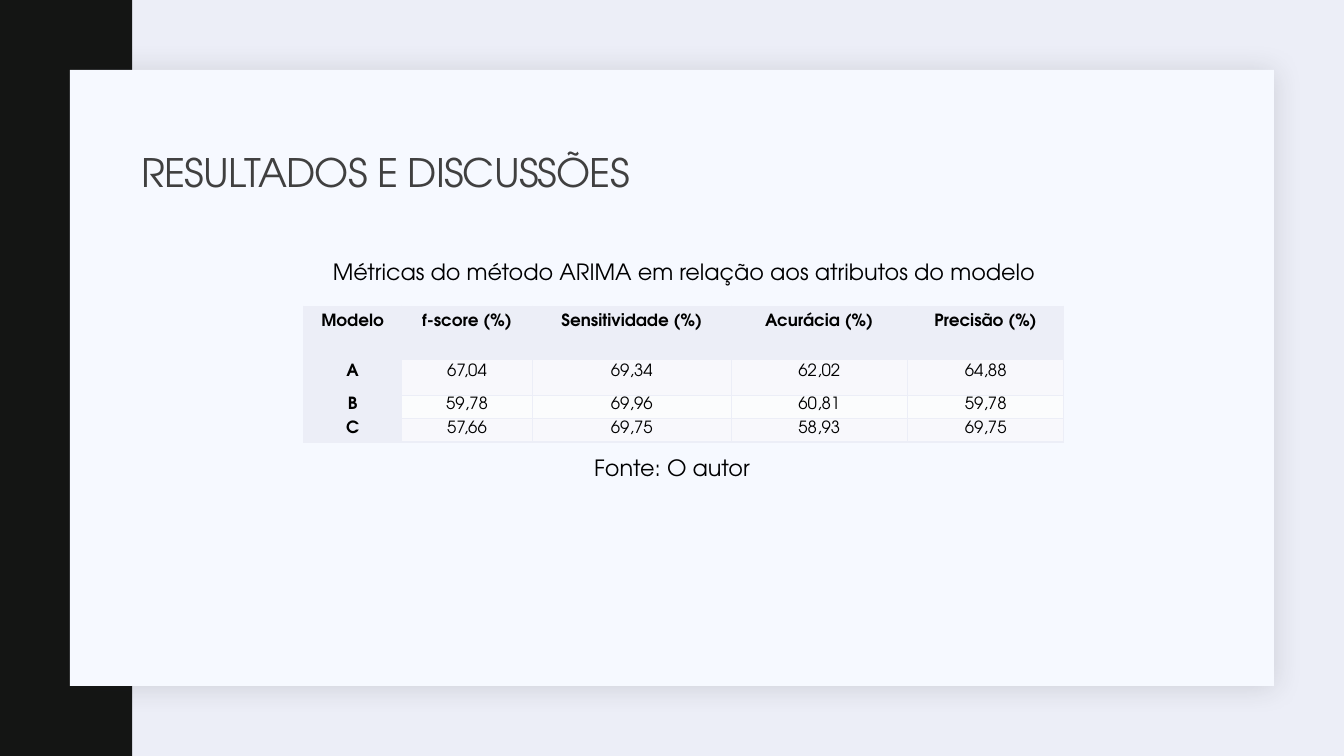
from lxml.etree import SubElement
from pptx import Presentation
from pptx.dml.color import RGBColor
from pptx.enum.shapes import MSO_SHAPE as Preset
from pptx.enum.text import MSO_ANCHOR as Anchor, MSO_AUTO_SIZE as AutoSize, PP_ALIGN as Align
from pptx.oxml.ns import qn
from pptx.util import Inches, Pt

SLIDE_WIDTH, SLIDE_HEIGHT = Inches(13.33), Inches(7.5)
FONT = "TeX Gyre Adventor"
COLORS = {
    "background": "ECEEF7",
    "bar": "141514",
    "card": "F6F9FF",
    "shadow": "1F2125",
    "title": "404040",
    "text": "000000",
    "odd_row": "F8F8FC",
    "even_row": "FBFCFD",
}
HEADERS = ["Modelo", "f-score (%)", "Sensitividade (%)", "Acurácia (%)", "Precisão (%)"]
RESULTS = [
    ["A", "67,04", "69,34", "62,02", "64,88"],
    ["B", "59,78", "69,96", "60,81", "59,78"],
    ["C", "57,66", "69,75", "58,93", "69,75"],
]
COLUMN_WEIGHTS = [0.97, 1.3, 1.97, 1.75, 1.55]
ROW_SHARES = [7, 4.75, 3.1, 3.1]
ROW_SPACINGS = [1.5, 1.07, 1.15, 1.15]
ROW_TOP_MARGINS = [0, 0.04, 0, 0]


def color(name):
    return RGBColor.from_string(COLORS[name])


def across(share):
    return int(SLIDE_WIDTH * share / 100)


def down(share):
    return int(SLIDE_HEIGHT * share / 100)


def box(left, top, width, height):
    """Turn percentages of the slide into lengths."""
    return across(left), down(top), across(width), down(height)


def set_all(target, values):
    for name, value in values.items():
        setattr(target, name, value)


def paint(target, color_name):
    target.fill.solid()
    target.fill.fore_color.rgb = color(color_name)


def write(text_frame, text, size, color_name="text", bold=False, **paragraph_format):
    paragraph = text_frame.paragraphs[0]
    set_all(paragraph, paragraph_format)
    run = paragraph.add_run()
    run.text = text
    set_all(run.font, {"name": FONT, "size": Pt(size), "bold": bold})
    run.font.color.rgb = color(color_name)
    return run


def add_panel(slide, area, color_name):
    panel = slide.shapes.add_shape(Preset.RECTANGLE, *box(*area))
    panel.shadow.inherit = False
    paint(panel, color_name)
    panel.line.fill.background()
    return panel


def add_soft_shadow(shape):
    effects = shape._element.spPr.find(qn("a:effectLst"))
    shadow = SubElement(effects, qn("a:outerShdw"), blurRad=str(Pt(20)), dist=str(Pt(2)),
                        dir=str(45 * 60000), algn="tl", rotWithShape="0")
    tint = SubElement(shadow, qn("a:srgbClr"), val=COLORS["shadow"])
    SubElement(tint, qn("a:alpha"), val="15000")


def add_title(slide, text, area):
    text_frame = slide.shapes.add_textbox(*box(*area)).text_frame
    set_all(text_frame, {"word_wrap": True, "vertical_anchor": Anchor.MIDDLE})
    run = write(text_frame, text, 28, "title", line_spacing=0.9)
    run.font._element.set("spc", "-50")


def add_caption(slide, text, area):
    text_frame = slide.shapes.add_textbox(*box(*area)).text_frame
    set_all(text_frame, {"word_wrap": True, "auto_size": AutoSize.SHAPE_TO_FIT_TEXT})
    write(text_frame, text, 16, alignment=Align.CENTER, space_after=Pt(10))


def add_borders(cell):
    properties = cell._tc.get_or_add_tcPr()
    for position, tag in enumerate(["a:lnL", "a:lnR", "a:lnT", "a:lnB"]):
        line = SubElement(properties, qn(tag), w=str(Pt(1)))
        properties.insert(position, line)
        fill = SubElement(line, qn("a:solidFill"))
        SubElement(fill, qn("a:srgbClr"), val=COLORS["background"])


def cell_color(row, column):
    if row == 0 or column == 0:
        return "background"
    return "odd_row" if row % 2 else "even_row"


def fill_cell(cell, text, row, column):
    set_all(cell, {"margin_left": Inches(0.03), "margin_right": Inches(0.03),
                   "margin_top": Inches(ROW_TOP_MARGINS[row]), "margin_bottom": 0})
    paint(cell, cell_color(row, column))
    add_borders(cell)
    write(cell.text_frame, text, 12, bold=row == 0 or column == 0, alignment=Align.CENTER,
          line_spacing=ROW_SPACINGS[row], space_after=Pt(8))


def add_metrics_table(slide, area):
    rows = [HEADERS, *RESULTS]
    left, top, width, height = box(*area)
    frame = slide.shapes.add_table(len(rows), len(HEADERS), left, top, width, height)
    table = frame.table
    set_all(table, {"first_row": False, "horz_banding": False})
    for column, weight in zip(table.columns, COLUMN_WEIGHTS):
        column.width = int(width * weight / sum(COLUMN_WEIGHTS))
    for row, share in zip(table.rows, ROW_SHARES):
        row.height = down(share)
    for row, texts in enumerate(rows):
        for column, text in enumerate(texts):
            fill_cell(table.cell(row, column), text, row, column)


def main():
    presentation = Presentation()
    set_all(presentation, {"slide_width": SLIDE_WIDTH, "slide_height": SLIDE_HEIGHT})
    slide = presentation.slides.add_slide(presentation.slide_layouts[6])
    paint(slide.background, "background")

    add_panel(slide, (0, 0, 9.83, 100), "bar")
    add_soft_shadow(add_panel(slide, (5.21, 9.26, 89.58, 81.48), "card"))
    add_title(slide, "RESULTADOS E DISCUSSÕES", (9.8, 13.73, 80.12, 18.8))
    add_metrics_table(slide, (22.6, 40.53, 56.56, sum(ROW_SHARES)))
    add_caption(slide, "Métricas do método ARIMA em relação aos atributos do modelo",
                (23.56, 33.47, 54.69, 4.93))
    add_caption(slide, "Fonte: O autor", (24.98, 59.47, 50.04, 4.93))

    presentation.save("out.pptx")


if __name__ == "__main__":
    main()
